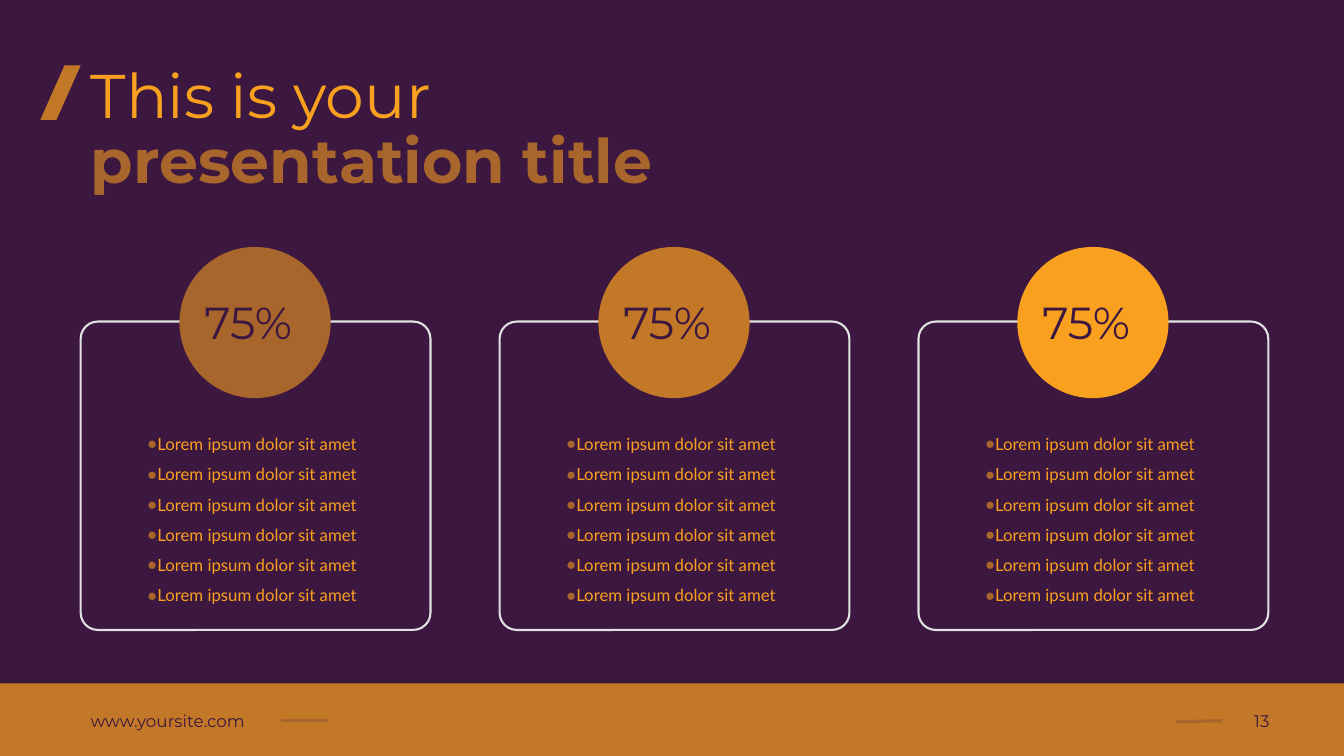
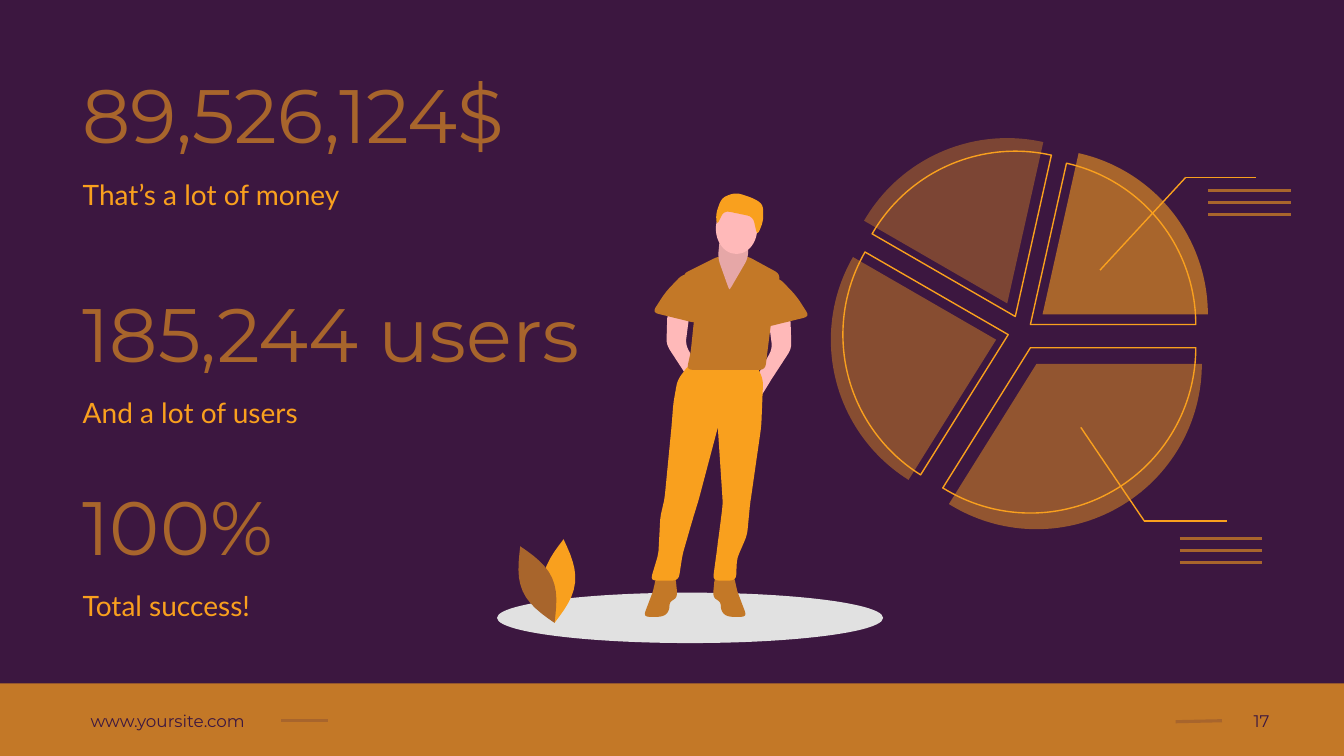
from math import dist, hypot, pi, sin

from lxml import etree
from pptx import Presentation
from pptx.dml.color import RGBColor
from pptx.enum.shapes import MSO_CONNECTOR, MSO_SHAPE
from pptx.enum.text import MSO_ANCHOR, MSO_AUTO_SIZE, PP_ALIGN
from pptx.oxml.ns import qn
from pptx.util import Inches, Pt

STRAIGHT = MSO_CONNECTOR.STRAIGHT
RECT, ROUND = MSO_SHAPE.RECTANGLE, MSO_SHAPE.ROUNDED_RECTANGLE
OVAL, PIE = MSO_SHAPE.OVAL, MSO_SHAPE.PIE
TOP, MIDDLE, BOTTOM = MSO_ANCHOR.TOP, MSO_ANCHOR.MIDDLE, MSO_ANCHOR.BOTTOM
LEFT, RIGHT = PP_ALIGN.LEFT, PP_ALIGN.RIGHT
FIXED = MSO_AUTO_SIZE.NONE
WEST, EAST = 1, 3

PLUM = RGBColor(0x3C, 0x17, 0x40)
OCHRE = RGBColor(0xC3, 0x78, 0x27)
BROWN = RGBColor(0xA8, 0x65, 0x2C)
GOLD = RGBColor(0xF9, 0xA0, 0x1E)
PALE = RGBColor(0xE1, 0xE1, 0xE1)
SKIN = RGBColor(0xFF, 0xB9, 0xB9)
SHADE = RGBColor(0xE6, 0xA7, 0xA7)

HEAD, BODY = "Montserrat", "Lato"


def style(face, size, color, anchor, inset=(0.1, 0.05), bold=False, mark=None, **para):
    """Bundle the format values of one text role."""
    side, edge = (Inches(v) for v in inset)
    return {
        "frame": {"word_wrap": True, "auto_size": FIXED, "vertical_anchor": anchor,
                  "margin_left": side, "margin_right": side,
                  "margin_top": edge, "margin_bottom": edge},
        "para": {"alignment": LEFT, "space_before": Pt(0), "line_spacing": 1.0, **para},
        "font": {"name": face, "size": Pt(size), "bold": bold},
        "color": color,
        "mark": mark,
    }


TITLE = style(HEAD, 44, GOLD, TOP)
STRONG = style(HEAD, 44, BROWN, TOP, bold=True)
SITE = style(HEAD, 12, PLUM, MIDDLE)
PAGE = style(HEAD, 12, PLUM, MIDDLE, alignment=RIGHT)
SHARE = style(HEAD, 32, PLUM, MIDDLE, inset=(0.1, 0.1))
LIST = style(BODY, 12, GOLD, MIDDLE, inset=(0.1, 0.1), mark=BROWN, line_spacing=1.5)
FIGURE = style(HEAD, 54, BROWN, BOTTOM, inset=(0, 0), line_spacing=0.9)
CAPTION = style(BODY, 20, GOLD, TOP, inset=(0, 0), line_spacing=1.2)


def paint(shape, fill=None, edge=None, width=1, alpha=100):
    """Set fill, outline and opacity, and drop the shadow."""
    shape.shadow.inherit = False
    if fill is None:
        shape.fill.background()
    else:
        shape.fill.solid()
        shape.fill.fore_color.rgb = fill
        if alpha < 100:
            tint = shape.element.spPr.find(".//" + qn("a:srgbClr"))
            etree.SubElement(tint, qn("a:alpha"), val=str(alpha * 1000))
    if edge is None:
        shape.line.fill.background()
    else:
        shape.line.color.rgb = edge
        shape.line.width = Pt(width)


def block(slide, kind, x, y, w, h, **look):
    """Add one painted preset shape."""
    shape = slide.shapes.add_shape(kind, Inches(x), Inches(y), Inches(w), Inches(h))
    paint(shape, **look)
    return shape


def rule(slide, start, end, color, width):
    """Add one straight line."""
    ends = [Inches(v) for v in (*start, *end)]
    line = slide.shapes.add_connector(STRAIGHT, *ends)
    line.line.color.rgb = color
    line.line.width = Pt(width)
    etree.SubElement(line.element.spPr, qn("a:effectLst"))
    return line


def outline(slide, x, y, dots, color):
    """Add one filled outline whose points count from a corner."""
    dots = [(a * 1000, b * 1000) for a, b in dots]
    pen = slide.shapes.build_freeform(*dots[0], scale=Inches(1) / 1000)
    pen.add_line_segments(dots[1:], close=True)
    paint(pen.convert_to_shape(Inches(x), Inches(y)), color)


def blend(a, b, t):
    """Return the point a share t of the way from a to b."""
    return a[0] + (b[0] - a[0]) * t, a[1] + (b[1] - a[1]) * t


def soften(dots, reach=0.06):
    """Round each corner of an outline."""
    curve = []
    for i, tip in enumerate(dots):
        start, end = (blend(tip, near, min(0.5, reach / dist(tip, near)))
                      for near in (dots[i - 1], dots[(i + 1) % len(dots)]))
        for t in (0, 0.25, 0.5, 0.75, 1):
            curve.append(blend(blend(start, tip, t), blend(tip, end, t), t))
    return curve


def limb(*rows):
    """Outline a body part from rows of height, left edge and right edge."""
    return [(a, y) for y, a, _ in rows] + [(b, y) for y, _, b in reversed(rows)]


def mirror(dots, span, drop=0.0):
    """Flip an outline from left to right."""
    return [(span - x, y + drop) for x, y in dots]


def leaf(base, tip, bulge=0.16, steps=12):
    """Outline a leaf that swells evenly about its midrib."""
    dx, dy = tip[0] - base[0], tip[1] - base[1]
    size = hypot(dx, dy)
    dots = []
    for i in range(2 * steps):
        t = i / steps
        x, y = blend(base, tip, min(t, 2 - t))
        push = bulge * sin(pi * t)
        dots.append((x - dy / size * push, y + dx / size * push))
    return dots


def write(shape, lines, look):
    """Fill a shape with styled paragraphs."""
    text = shape.text_frame
    text.text = "\n".join(lines)
    for name, value in look["frame"].items():
        setattr(text, name, value)
    for para in text.paragraphs:
        for name, value in look["para"].items():
            setattr(para, name, value)
        font = para.runs[0].font
        for name, value in look["font"].items():
            setattr(font, name, value)
        font.color.rgb = look["color"]
        bullet(para, look["mark"])


def bullet(para, color):
    """Give a paragraph a coloured dot, or none."""
    props = para._p.get_or_add_pPr()
    props.set("marL", "0")
    props.set("indent", str(-Inches(0.12) if color else 0))
    if color is None:
        etree.SubElement(props, qn("a:buNone"))
    else:
        tint = etree.SubElement(props, qn("a:buClr"))
        etree.SubElement(tint, qn("a:srgbClr"), val=str(color))
        etree.SubElement(props, qn("a:buChar"), char="●")


def label(slide, x, y, w, h, words, look):
    """Add one text box."""
    box = slide.shapes.add_textbox(Inches(x), Inches(y), Inches(w), Inches(h))
    write(box, [words], look)
    return box


def hold(spot, x, y, w, h, lines, look):
    """Move and fill one template placeholder."""
    box = {"left": x, "top": y, "width": w, "height": h}
    for name, value in box.items():
        setattr(spot, name, Inches(value))
    write(spot, lines, look)


def footer(slide, master):
    """Build the shared band and site line, then move them to the master."""
    band = block(slide, RECT, 0, 6.78, 13.33, 0.72, fill=OCHRE)
    site = label(slide, 0.8, 6.95, 1.99, 0.4, "www.yoursite.com", SITE)
    dash = rule(slide, (2.79, 7.15), (3.25, 7.15), BROWN, 2.25)
    dash.begin_connect(site, EAST)
    for part in (band, site, dash):
        master.shapes.element.append(part.element)


def number(slide, page):
    """Add the page number and its dash."""
    box = label(slide, 12.12, 6.95, 0.57, 0.4, page, PAGE)
    dash = rule(slide, (12.12, 7.15), (11.66, 7.16), BROWN, 2.25)
    dash.begin_connect(box, WEST)


def card(slide, spot, x, y, color):
    """Build one framed list with its round badge."""
    frame = block(slide, ROUND, x, y + 0.74, 3.47, 3.06, edge=PALE, width=1.5)
    frame.adjustments[0] = 0.056
    block(slide, OVAL, x + 0.98, y, 1.5, 1.5, fill=color)
    label(slide, x + 1.13, y + 0.53, 1.2, 0.43, "75%", SHARE)
    lines = ["Lorem ipsum dolor sit amet"] * 6
    hold(spot, x + 0.56, y + 1.69, 2.35, 1.93, lines, LIST)


def cards(slide):
    """Build the slide of three lists."""
    title, second, *lists = slide.placeholders
    hold(title, 0.8, 0.51, 8.27, 0.84, ["This is your"], TITLE)
    hold(second, 0.8, 1.16, 5.94, 0.84, ["presentation title"], STRONG)
    outline(slide, 0.4, 0.65, [(0, 0.54), (0.24, 0), (0.4, 0), (0.16, 0.54)], OCHRE)
    pitch = 8.31 / 2
    for i, (spot, color) in enumerate(zip(lists, (BROWN, OCHRE, GOLD))):
        card(slide, spot, 0.8 + i * pitch, 2.45, color)


def person(slide, x, y):
    """Draw a standing person, limb by limb."""
    arm = limb((1.2, 0.22, 0.44), (1.52, 0.21, 0.4), (1.81, 0.4, 0.56), (1.99, 0.51, 0.53))
    shoe = [(0.11, 3.81), (0.08, 3.96), (-0.02, 4.22), (0.18, 4.22), (0.24, 4.16),
            (0.24, 4.07), (0.32, 4.03), (0.3, 3.81)]
    sleeve = [(0.37, 0.82), (0.2, 1.0), (0.07, 1.2), (0.52, 1.31), (0.55, 0.82)]
    near = limb((1.71, 0.44, 0.85), (1.87, 0.32, 0.85), (2.09, 0.28, 0.8),
                (2.34, 0.26, 0.72), (3.06, 0.19, 0.53), (3.22, 0.15, 0.48),
                (3.6, 0.13, 0.37), (3.86, 0.05, 0.33))
    far = limb((1.71, 0.7, 1.1), (1.87, 0.7, 1.17), (2.34, 0.72, 1.15),
               (3.1, 0.77, 1.04), (3.41, 0.73, 1.01), (3.64, 0.7, 0.91),
               (3.86, 0.67, 0.9))
    shirt = limb((0.64, 0.73, 1.01), (0.82, 0.37, 1.34), (1.21, 0.49, 1.26),
                 (1.6, 0.45, 1.21), (1.77, 0.41, 1.19))
    neck = limb((0.46, 0.74, 1.02), (0.66, 0.72, 1.02), (0.97, 0.83, 0.84))
    hair = [(0.71, 0.34), (0.7, 0.22), (0.76, 0.06), (0.9, 0.01), (1.08, 0.07),
            (1.17, 0.13), (1.17, 0.3), (1.11, 0.44), (1.07, 0.25), (0.78, 0.19)]
    body = [
        (SKIN, arm), (SKIN, mirror(arm, 1.66, 0.04)),
        (OCHRE, shoe), (OCHRE, mirror(shoe, 0.99)),
        (GOLD, near), (GOLD, far), (OCHRE, shirt),
        (OCHRE, sleeve), (OCHRE, mirror(sleeve, 1.7, 0.04)), (SHADE, neck),
    ]
    for color, dots in body:
        outline(slide, x, y, soften(dots), color)
    block(slide, OVAL, x + 0.7, y + 0.12, 0.41, 0.5, fill=SKIN)
    outline(slide, x, y, soften(hair), GOLD)


def wedge(slide, x, y, start, end, **look):
    """Add one pie slice around its tip, with angles in degrees."""
    size = 1.64
    slice = block(slide, PIE, x - size, y - size, 2 * size, 2 * size, **look)
    for i, angle in enumerate((start, end)):
        slice.adjustments[i] = angle * 0.6


def leader(slide, dots, x, y):
    """Draw a bent leader and its three text bars."""
    for start, end in zip(dots, dots[1:]):
        rule(slide, start, end, GOLD, 1)
    for i in range(3):
        level = y + i * 0.12
        rule(slide, (x, level), (x + 0.82, level), BROWN, 2)


def split(slide, x, y):
    """Draw the split pie, each slice with a shifted outline."""
    cuts = (0, 122, 210, 282.6, 0)
    alphas = (80, 70, 60, 100)
    solids = ((2.08, 2.31), (1.68, 2.07), (1.79, 1.71), (2.14, 1.82))
    hollows = ((2.02, 2.15), (1.8, 2.02), (1.87, 1.84), (2.02, 1.92))
    for start, end, alpha, (sx, sy), (hx, hy) in zip(cuts, cuts[1:], alphas, solids, hollows):
        wedge(slide, x + sx, y + sy, start, end, fill=BROWN, alpha=alpha)
        wedge(slide, x + hx, y + hy, start, end, edge=GOLD)
    upper = [(2.71, 1.38), (3.56, 0.46), (4.26, 0.46)]
    lower = [(2.52, 2.94), (3.15, 3.87), (3.97, 3.87)]
    for bends, left, top in ((upper, 3.78, 0.59), (lower, 3.5, 4.04)):
        leader(slide, [(x + a, y + b) for a, b in bends], x + left, y + top)


def plant(slide, x, y):
    """Draw two leaves that grow from one base."""
    for color, tip in ((GOLD, (0.49, 0.05)), (BROWN, (0.06, 0.12))):
        outline(slide, x, y, leaf((0.4, 0.88), tip), color)


def stats(slide):
    """Build the slide of three figures and a drawing."""
    title, *notes, spare = slide.placeholders
    spare.element.getparent().remove(spare.element)
    left, width = 0.82, 5.93
    hold(title, left, 0.32, width, 1.27, ["89,526,124$"], FIGURE)
    label(slide, left, 2.49, width, 1.27, "185,244 users", FIGURE)
    label(slide, left, 4.4, width, 1.27, "100%", FIGURE)
    words = ("That’s a lot of money", "And a lot of users", "Total success!")
    for spot, top, line in zip(notes, (0.32, 2.49, 4.4), words):
        hold(spot, left, top + 1.37, width, 0.43, [line], CAPTION)
    block(slide, OVAL, 4.93, 5.88, 3.83, 0.5, fill=PALE)
    person(slide, 6.4, 1.9)
    split(slide, 8.2, 1.3)
    plant(slide, 5.1, 5.3)


def main():
    """Build and save the deck."""
    deck = Presentation()
    deck.slide_width, deck.slide_height = Inches(13.33), Inches(7.5)
    master = deck.slide_master
    master.background.fill.solid()
    master.background.fill.fore_color.rgb = PLUM
    layout = deck.slide_layouts.get_by_name("Comparison")
    first, last = (deck.slides.add_slide(layout) for _ in range(2))
    footer(first, master)
    for slide, build, page in ((first, cards, "13"), (last, stats, "17")):
        build(slide)
        number(slide, page)
    deck.save("out.pptx")


if __name__ == "__main__":
    main()
